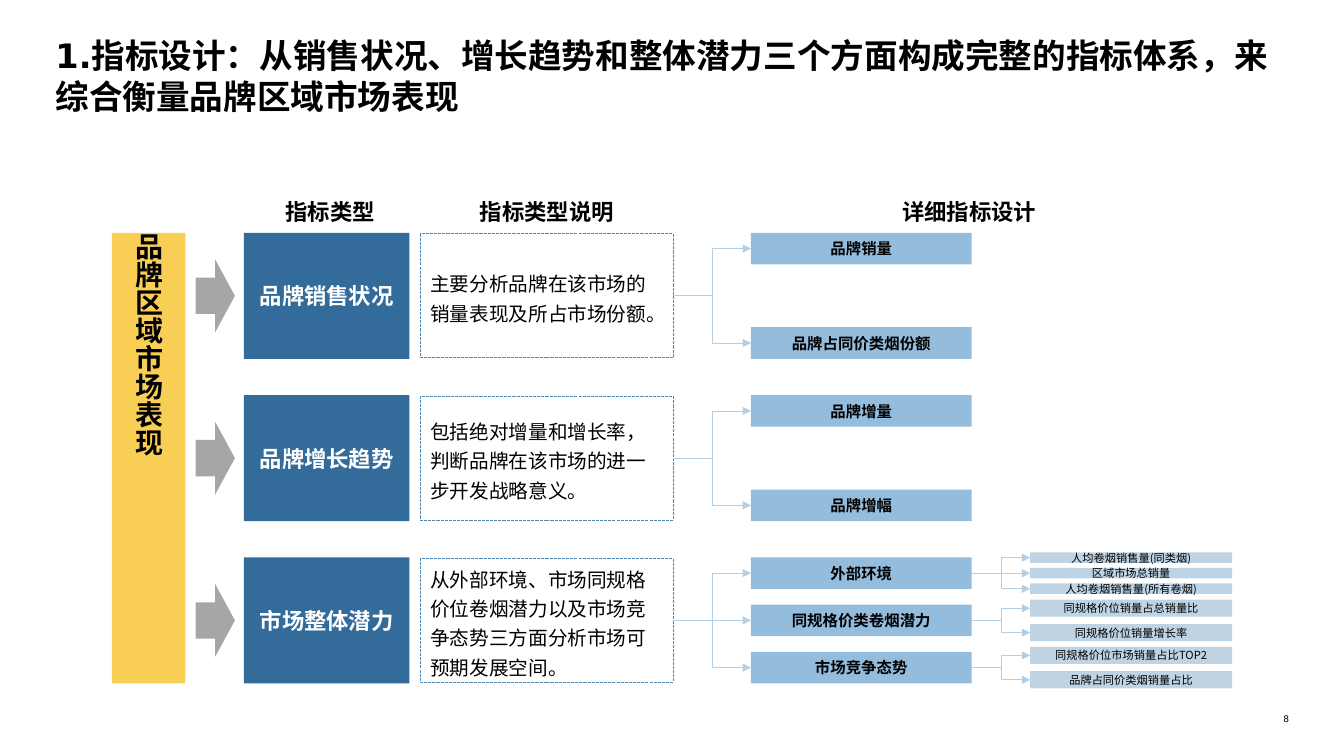
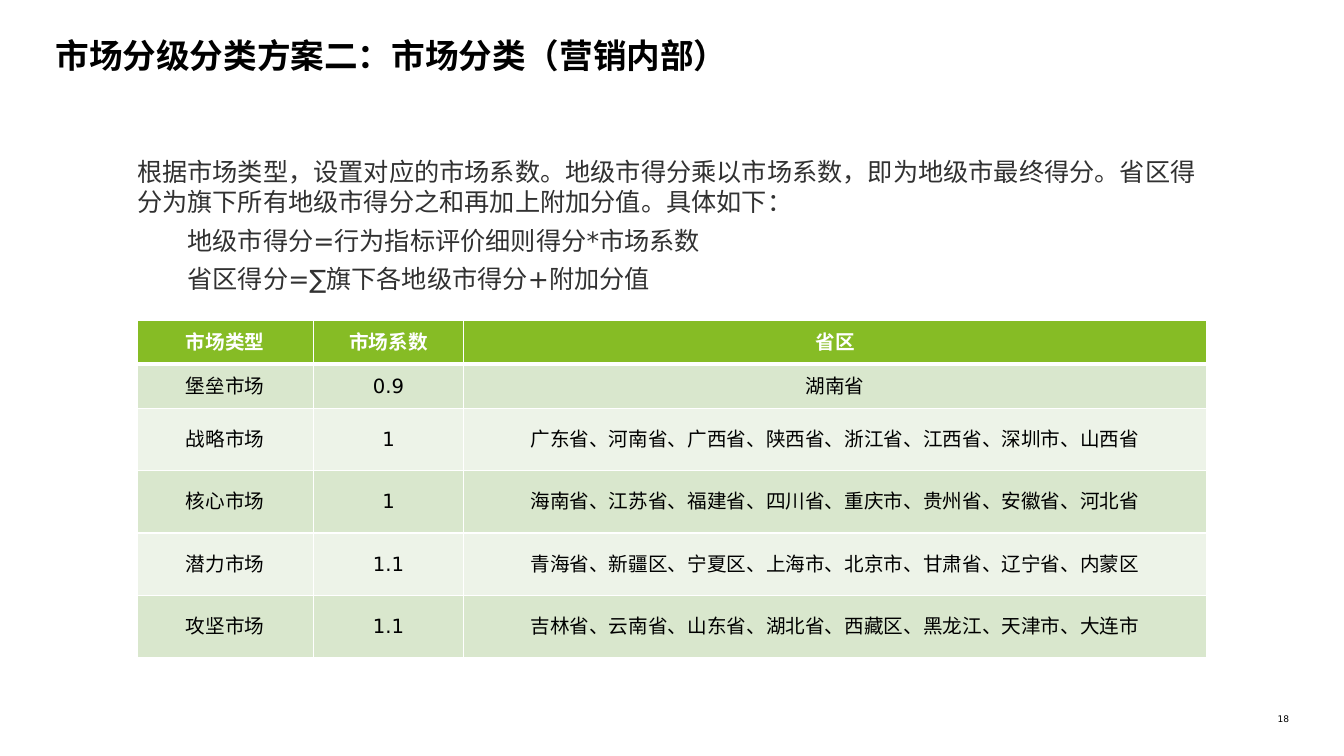
from dataclasses import dataclass
from typing import NamedTuple, Optional

from lxml.etree import SubElement
from pptx import Presentation
from pptx.dml.color import RGBColor
from pptx.enum.dml import MSO_LINE
from pptx.enum.shapes import MSO_CONNECTOR, MSO_SHAPE
from pptx.enum.text import MSO_ANCHOR, MSO_AUTO_SIZE, PP_ALIGN
from pptx.oxml.ns import qn
from pptx.util import Emu, Pt

CELL = 76200
GRID_COLUMNS, GRID_ROWS = 160, 90

BLACK = RGBColor(0x00, 0x00, 0x00)
WHITE = RGBColor(0xFF, 0xFF, 0xFF)
CHARCOAL = RGBColor(0x31, 0x31, 0x31)
GREY = RGBColor(0xA6, 0xA6, 0xA6)
YELLOW = RGBColor(0xF9, 0xCE, 0x55)
DEEP_BLUE = RGBColor(0x33, 0x6B, 0x9A)
OUTLINE_BLUE = RGBColor(0x50, 0x87, 0xB0)
MID_BLUE = RGBColor(0x94, 0xBC, 0xDC)
PALE_BLUE = RGBColor(0xBE, 0xD3, 0xE3)
LINK_BLUE = RGBColor(0xB3, 0xCF, 0xE6)
GREEN = RGBColor(0x86, 0xBC, 0x25)
BAND_GREENS = (RGBColor(0xD9, 0xE7, 0xCD), RGBColor(0xED, 0xF3, 0xE8))

SANS = "DejaVu Sans"
CHINESE = "Noto Sans CJK SC"
SMALL_INSET = 1


class Area(NamedTuple):
    left: float
    top: float
    width: float
    height: float

    def lengths(self) -> list[Emu]:
        return [Emu(round(value * CELL)) for value in self]


@dataclass(frozen=True)
class Measure:
    name: str
    details: tuple[str, ...] = ()


@dataclass(frozen=True)
class Indicator:
    name: str
    note: str
    measures: tuple[Measure, ...]


class Heading(NamedTuple):
    text: str
    centre: float


class MarketRow(NamedTuple):
    market: str
    factor: str
    regions: str


TITLE_AREA = Area(6.6, 4.2, 146.88, 9.12)
NUMBER_AREA = Area(149.4, 84.96, 4.08, 1.32)

BLOCK_TOP, BLOCK_HEIGHT, BLOCK_PITCH = 27.72, 15, 19.32
MEASURE_HEIGHT = 3.76
HEADINGS = (Heading("指标类型", 39.3), Heading("指标类型说明", 65.1), Heading("详细指标设计", 115.4))
INDICATORS = (
    Indicator("品牌销售状况", "主要分析品牌在该市场的销量表现及所占市场份额。",
              (Measure("品牌销量"), Measure("品牌占同价类烟份额"))),
    Indicator("品牌增长趋势", "包括绝对增量和增长率，判断品牌在该市场的进一步开发战略意义。",
              (Measure("品牌增量"), Measure("品牌增幅"))),
    Indicator("市场整体潜力", "从外部环境、市场同规格价位卷烟潜力以及市场竞争态势三方面分析市场可预期发展空间。", (
        Measure("外部环境", ("人均卷烟销售量(同类烟)", "区域市场总销量", "人均卷烟销售量(所有卷烟)")),
        Measure("同规格价类卷烟潜力", ("同规格价位销量占总销量比", "同规格价位销量增长率")),
        Measure("市场竞争态势", ("同规格价位市场销量占比TOP2", "品牌占同价类烟销量占比")),
    )),
)

SCORING_INTRO = "根据市场类型，设置对应的市场系数。地级市得分乘以市场系数，即为地级市最终得分。省区得分为旗下所有地级市得分之和再加上附加分值。具体如下："
SCORING_FORMULAS = ("地级市得分=行为指标评价细则得分*市场系数", "省区得分=∑旗下各地级市得分+附加分值")
TABLE_COLUMNS = (21, 17.88, 88.44)
TABLE_ROWS = (5.22, 5.22, 7.44, 7.44, 7.44, 7.44)
MARKET_ROWS = (
    MarketRow("市场类型", "市场系数", "省区"),
    MarketRow("堡垒市场", "0.9", "湖南省"),
    MarketRow("战略市场", "1", "广东省、河南省、广西省、陕西省、浙江省、江西省、深圳市、山西省"),
    MarketRow("核心市场", "1", "海南省、江苏省、福建省、四川省、重庆市、贵州省、安徽省、河北省"),
    MarketRow("潜力市场", "1.1", "青海省、新疆区、宁夏区、上海市、北京市、甘肃省、辽宁省、内蒙区"),
    MarketRow("攻坚市场", "1.1", "吉林省、云南省、山东省、湖北省、西藏区、黑龙江、天津市、大连市"),
)


def write(frame, text: str, *, size: float, font: str = CHINESE, colour: RGBColor = BLACK,
          bold: bool = False, align: PP_ALIGN = PP_ALIGN.LEFT, anchor: MSO_ANCHOR = MSO_ANCHOR.TOP,
          wrap: bool = True, inset: Optional[float] = None, spacing: Optional[float] = None,
          before: float = 0, indent: float = 0, append: bool = False) -> None:
    frame.word_wrap = wrap
    frame.vertical_anchor = anchor
    if inset is not None:
        margin = Emu(round(inset * CELL))
        frame.margin_left = frame.margin_right = frame.margin_top = frame.margin_bottom = margin
    para = frame.add_paragraph() if append else frame.paragraphs[0]
    para.alignment = align
    para.space_before = Pt(before)
    if spacing:
        para.line_spacing = spacing
    if indent:
        para.level = 1
        properties = para._p.get_or_add_pPr()
        properties.set("marL", str(round(indent * CELL)))
        properties.set("indent", "0")
    span = para.add_run()
    span.text = text
    span.font.name = font
    span.font.size = Pt(size)
    span.font.bold = bold
    span.font.color.rgb = colour
    SubElement(span.font._element, qn("a:ea")).set("typeface", font)


def add_text_frame(page, area: Area):
    return page.shapes.add_textbox(*area.lengths()).text_frame


def add_box(page, area: Area, fill: RGBColor, kind: MSO_SHAPE = MSO_SHAPE.RECTANGLE):
    box = page.shapes.add_shape(kind, *area.lengths())
    box.shadow.inherit = False
    box.fill.solid()
    box.fill.fore_color.rgb = fill
    box.line.fill.background()
    return box


def add_label(page, area: Area, fill: RGBColor, text: str, **style):
    box = add_box(page, area, fill)
    write(box.text_frame, text, align=PP_ALIGN.CENTER, anchor=MSO_ANCHOR.MIDDLE, **style)
    return box


def link(page, source, target, straight: bool) -> None:
    kind = MSO_CONNECTOR.STRAIGHT if straight else MSO_CONNECTOR.ELBOW
    connector = page.shapes.add_connector(kind, 0, 0, 0, 0)
    connector.begin_connect(source, 3)
    connector.end_connect(target, 1)
    connector.line.color.rgb = LINK_BLUE
    connector.line.width = Pt(1 if straight else 0.5)
    properties = connector._element.spPr
    SubElement(properties.find(qn("a:ln")), qn("a:tailEnd")).set("type", "triangle")
    SubElement(properties, qn("a:effectLst"))


def is_middle(index: int, count: int) -> bool:
    return 2 * index == count - 1


def add_page(deck, title: str, number: int):
    page = deck.slides.add_slide(deck.slide_layouts[5])
    heading = page.shapes.title
    heading.left, heading.top, heading.width, heading.height = TITLE_AREA.lengths()
    heading.text_frame.auto_size = MSO_AUTO_SIZE.NONE
    write(heading.text_frame, title, size=24, font=SANS, bold=True, inset=0)
    write(add_text_frame(page, NUMBER_AREA), str(number), size=6.5, font=SANS,
          align=PP_ALIGN.RIGHT, inset=0, before=6)
    return page


def draw_details(page, source, details: tuple[str, ...], centre: float) -> None:
    count = len(details)
    pitch, height = (1.85, 1.25) if count > 2 else (2.9, 2.04)
    for index, detail in enumerate(details):
        middle = centre + (index - (count - 1) / 2) * pitch
        area = Area(122.64, middle - height / 2, 24.05, height)
        box = add_label(page, area, PALE_BLUE, detail, size=8, inset=SMALL_INSET)
        link(page, source, box, is_middle(index, count))


def draw_indicator(page, indicator: Indicator, top: float) -> None:
    centre = top + BLOCK_HEIGHT / 2
    add_box(page, Area(23.28, centre - 4.32, 4.68, 8.64), GREY, MSO_SHAPE.RIGHT_ARROW)
    add_label(page, Area(29.05, top, 19.7, BLOCK_HEIGHT), DEEP_BLUE, indicator.name,
              size=16, colour=WHITE, bold=True, wrap=False)
    note = add_box(page, Area(50.04, centre - 7.38, 30.12, 14.76), WHITE)
    note.line.color.rgb = OUTLINE_BLUE
    note.line.width = Pt(0.75)
    note.line.dash_style = MSO_LINE.SQUARE_DOT
    write(note.text_frame, indicator.note, size=14, anchor=MSO_ANCHOR.MIDDLE, spacing=1.25)
    count = len(indicator.measures)
    pitch = (BLOCK_HEIGHT - MEASURE_HEIGHT) / (count - 1)
    for index, measure in enumerate(indicator.measures):
        measure_top = top + index * pitch
        box = add_label(page, Area(89.4, measure_top, 26.28, MEASURE_HEIGHT), MID_BLUE,
                        measure.name, size=11, bold=True, inset=SMALL_INSET)
        link(page, note, box, is_middle(index, count))
        draw_details(page, box, measure.details, measure_top + MEASURE_HEIGHT / 2)


def draw_indicator_page(deck) -> None:
    page = add_page(deck, "1.指标设计：从销售状况、增长趋势和整体潜力三个方面构成完整的指标体系，来综合衡量品牌区域市场表现", 8)
    for heading in HEADINGS:
        frame = add_text_frame(page, Area(heading.centre - 10.74, 23.04, 21.48, 4.44))
        write(frame, heading.text, size=16, bold=True, align=PP_ALIGN.CENTER, wrap=False)
    bar_height = (len(INDICATORS) - 1) * BLOCK_PITCH + BLOCK_HEIGHT
    bar = add_label(page, Area(13.32, BLOCK_TOP, 8.76, bar_height), YELLOW, "品牌区域市场表现",
                    size=20, bold=True, wrap=False, inset=0)
    bar.text_frame._txBody.bodyPr.set("vert", "eaVert")
    for index, indicator in enumerate(INDICATORS):
        draw_indicator(page, indicator, BLOCK_TOP + index * BLOCK_PITCH)


def add_borders(cell, top: float, bottom: float) -> None:
    properties = cell._tc.get_or_add_tcPr()
    for side, width in (("L", 1), ("R", 1), ("T", top), ("B", bottom)):
        line = SubElement(properties, qn(f"a:ln{side}"), w=str(Pt(width)))
        fill = SubElement(line, qn("a:solidFill"))
        SubElement(fill, qn("a:srgbClr"), val=str(WHITE))


def draw_market_table(page) -> None:
    area = Area(16.32, 38.16, sum(TABLE_COLUMNS), sum(TABLE_ROWS))
    table = page.shapes.add_table(len(TABLE_ROWS), len(TABLE_COLUMNS), *area.lengths()).table
    for column, width in zip(table.columns, TABLE_COLUMNS):
        column.width = Emu(round(width * CELL))
    for index, (height, values) in enumerate(zip(TABLE_ROWS, MARKET_ROWS)):
        table.rows[index].height = Emu(round(height * CELL))
        header = index == 0
        for position, value in enumerate(values):
            cell = table.cell(index, position)
            add_borders(cell, top=3 if index == 1 else 1, bottom=3 if header else 1)
            cell.fill.solid()
            cell.fill.fore_color.rgb = GREEN if header else BAND_GREENS[(index - 1) % 2]
            cell.vertical_anchor = MSO_ANCHOR.MIDDLE
            write(cell.text_frame, value, size=14, font=SANS, colour=WHITE if header else BLACK,
                  bold=header, align=PP_ALIGN.CENTER, anchor=None)


def draw_market_page(deck) -> None:
    page = add_page(deck, "市场分级分类方案二：市场分类（营销内部）", 18)
    frame = add_text_frame(page, Area(16.32, 18.6, 127.32, 16.56))
    style = dict(size=18, font=SANS, colour=CHARCOAL, inset=0, before=6)
    write(frame, SCORING_INTRO, **style)
    for formula in SCORING_FORMULAS:
        write(frame, formula, indent=6, append=True, **style)
    draw_market_table(page)


def main() -> None:
    deck = Presentation()
    deck.slide_width = Emu(GRID_COLUMNS * CELL)
    deck.slide_height = Emu(GRID_ROWS * CELL)
    draw_indicator_page(deck)
    draw_market_page(deck)
    deck.save("out.pptx")


if __name__ == "__main__":
    main()
